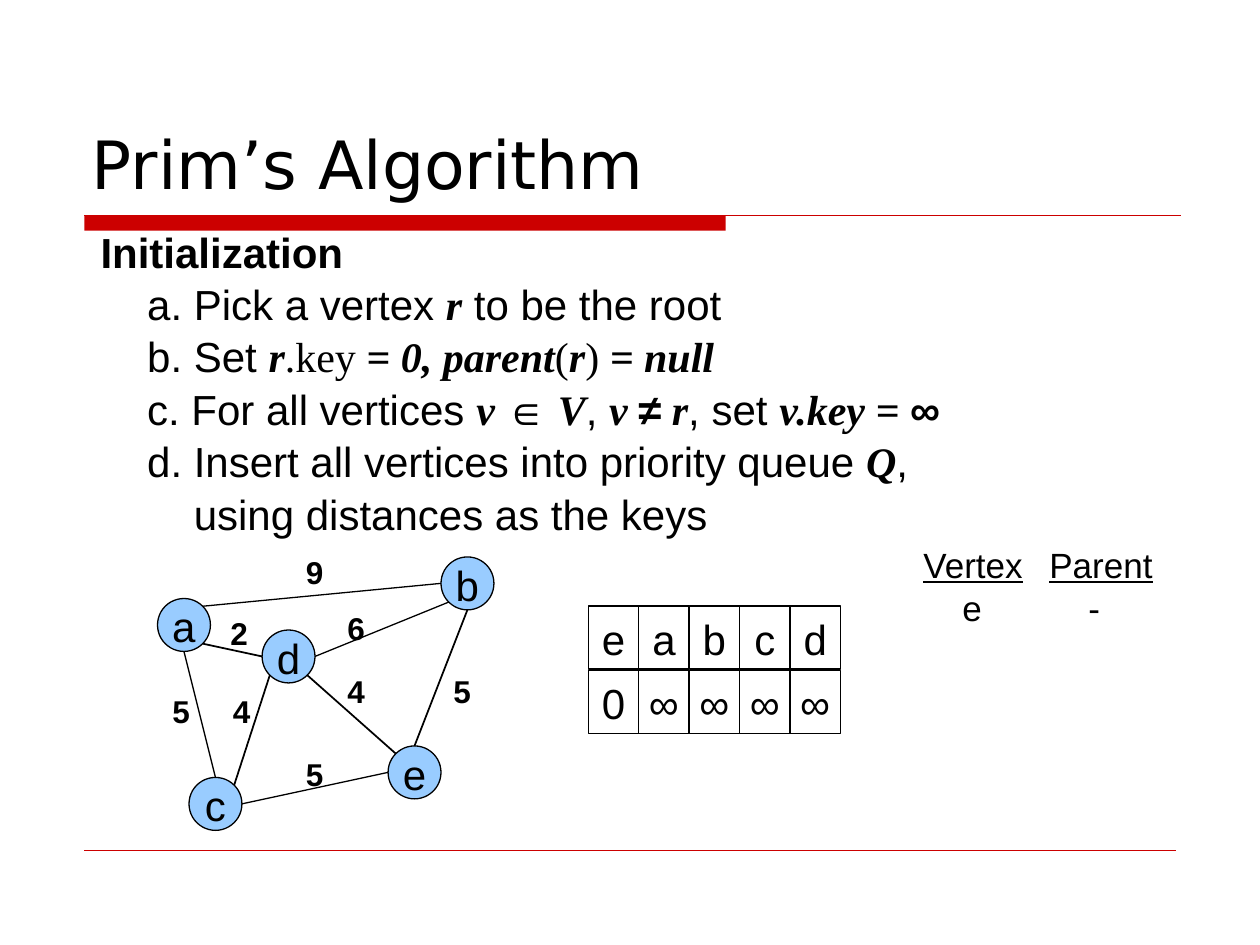
from math import cos, radians, sin

from lxml import etree
from pptx import Presentation
from pptx.dml.color import RGBColor
from pptx.enum.shapes import MSO_CONNECTOR, MSO_SHAPE
from pptx.enum.text import MSO_ANCHOR, PP_ALIGN
from pptx.oxml.ns import qn
from pptx.util import Inches, Pt

LINE = MSO_CONNECTOR.STRAIGHT
OVAL, RECT = MSO_SHAPE.OVAL, MSO_SHAPE.RECTANGLE
MIDDLE, BOTTOM = MSO_ANCHOR.MIDDLE, MSO_ANCHOR.BOTTOM
CENTER = PP_ALIGN.CENTER

BLACK = RGBColor(0x00, 0x00, 0x00)
RED = RGBColor(0xCC, 0x00, 0x00)
BLUE = RGBColor(0x99, 0xCC, 0xFF)

ARIAL, TIMES = "Arial", "Times New Roman"
# Each style: font, bold, italic
PLAIN = (ARIAL, False, False)
BOLD = (ARIAL, True, False)
VAR = (TIMES, True, True)
SERIF = (TIMES, False, False)

# Each step: left indent, then its runs
STEPS = [
    (0, [("Initialization", BOLD)]),
    (0.37, [("a. Pick a vertex ", PLAIN), ("r", VAR),
            (" to be the root", PLAIN)]),
    (0.37, [("b. Set ", PLAIN), ("r", VAR), (".key", SERIF),
            (" = 0, parent", VAR), ("(", SERIF), ("r", VAR),
            (")", SERIF), (" = null", VAR)]),
    (0.37, [("c. For all vertices ", PLAIN), ("v ", VAR), ("∈", BOLD),
            (" V", VAR), (", ", PLAIN), ("v ", VAR), ("≠", BOLD),
            (" r", VAR), (", set ", PLAIN), ("v.key = ", VAR),
            ("∞", BOLD)]),
    (0.37, [("d. Insert all vertices into priority queue ", PLAIN),
            ("Q", VAR), (",", PLAIN)]),
    (0.74, [("using distances as the keys", PLAIN)]),
]

SIZE = 0.42
NODES = {"a": (1.25, 4.75), "c": (1.5, 6.17), "e": (3.08, 5.92),
         "d": (2.08, 5), "b": (3.5, 4.42)}
# Each edge: node and angle at both ends (clockwise from right),
# line width, weight, left and top of the weight
EDGES = [
    ("a", 315, "b", 180, 0.75, 9, 2.33, 4.33),
    ("d", 0, "b", 135, 0.75, 6, 2.66, 4.77),
    ("a", 90, "c", 270, 0.75, 5, 1.27, 5.43),
    ("a", 45, "d", 180, 1, 2, 1.73, 4.81),
    ("c", 315, "d", 135, 1, 4, 1.75, 5.43),
    ("d", 45, "e", 225, 1, 4, 2.66, 5.27),
    ("b", 90, "e", 270, 1, 5, 3.5, 5.27),
    ("e", 180, "c", 0, 0.75, 5, 2.33, 5.93),
]

QUEUE = ["eabcd", "0∞∞∞∞"]
# Each row: text, underline, tab stops
PARENTS = [("Vertex\tParent", True, [1]), ("\te\t-", False, [0.31, 1.31])]


def style(par, size, font=ARIAL, bold=False, italic=False):
    par.line_spacing = 1.04
    for run in par.runs:
        run.font.name, run.font.size = font, Pt(size)
        run.font.bold, run.font.italic = bold, italic
        run.font.color.rgb = BLACK


def add_text(shapes, box, wrap=True):
    frame = shapes.add_textbox(*map(Inches, box)).text_frame
    frame.word_wrap = wrap
    return frame


def add_line(shapes, start, end, color, width):
    line = shapes.add_connector(LINE, *map(Inches, (*start, *end)))
    line.line.color.rgb, line.line.width = color, Pt(width)
    etree.SubElement(line._element.spPr, qn("a:effectLst"))


def add_cell(shapes, kind, box, text, fill=None):
    """Add an outlined shape that holds one centred character."""
    cell = shapes.add_shape(kind, *map(Inches, box))
    cell.shadow.inherit = False
    if fill is None:
        cell.fill.background()
    else:
        cell.fill.solid()
        cell.fill.fore_color.rgb = fill
    cell.line.color.rgb, cell.line.width = BLACK, Pt(0.75)
    frame = cell.text_frame
    frame.word_wrap, frame.vertical_anchor = False, MIDDLE
    frame.text = text
    par = frame.paragraphs[0]
    par.alignment = CENTER
    style(par, 24)


def rim(node, angle):
    """Return the point on a node's edge at an angle."""
    left, top = NODES[node]
    half, turn = SIZE / 2, radians(angle)
    return left + half + half * cos(turn), top + half + half * sin(turn)


def set_tabs(par, stops):
    tabs = etree.SubElement(par._p.get_or_add_pPr(), qn("a:tabLst"))
    for stop in stops:
        etree.SubElement(tabs, qn("a:tab"), pos=str(Inches(stop)), algn="l")


def add_frame(shapes):
    bar = shapes.add_shape(RECT, *map(Inches, (0.67, 1.71, 5.09, 0.12)))
    bar.shadow.inherit = False
    bar.fill.solid()
    bar.fill.fore_color.rgb = RED
    bar.line.fill.background()
    add_line(shapes, (0.67, 1.71), (9.37, 1.71), RED, 0.75)
    add_line(shapes, (0.67, 6.75), (9.33, 6.75), RED, 0.25)
    title = add_text(shapes, (0.63, 0.33, 8.75, 1.33))
    title.vertical_anchor = BOTTOM
    title.text = "Prim’s Algorithm"
    style(title.paragraphs[0], 38, "DejaVu Sans")


def add_steps(shapes):
    frame = add_text(shapes, (0.7, 1.73, 7.17, 2.5))
    for i, (indent, runs) in enumerate(STEPS):
        par = frame.add_paragraph() if i else frame.paragraphs[0]
        par.line_spacing = 1.04
        par._p.get_or_add_pPr().set("marL", str(Inches(indent)))
        for text, (font, bold, italic) in runs:
            run = par.add_run()
            run.text = text
            run.font.name, run.font.size = font, Pt(24)
            run.font.bold, run.font.italic = bold, italic
            run.font.color.rgb = BLACK


def add_graph(shapes):
    for name, spot in NODES.items():
        add_cell(shapes, OVAL, (*spot, SIZE, SIZE), name, BLUE)
    for src, out, dst, into, width, weight, left, top in EDGES:
        add_line(shapes, rim(src, out), rim(dst, into), BLACK, width)
        frame = add_text(shapes, (left, top, 0.34, 0.4), False)
        frame.text = str(weight)
        style(frame.paragraphs[0], 18, bold=True)


def add_queue(shapes):
    for r, row in enumerate(QUEUE):
        for c, text in enumerate(row):
            box = (4.67 + 0.4 * c, 4.81 + 0.51 * r, 0.4, 0.5)
            add_cell(shapes, RECT, box, text)


def add_parents(shapes):
    frame = add_text(shapes, (7.23, 4.25, 2.02, 0.77), False)
    frame.text = "\n".join(row[0] for row in PARENTS)
    for par, (_, under, stops) in zip(frame.paragraphs, PARENTS):
        style(par, 20)
        set_tabs(par, stops)
        for run in par.runs:
            run.font.underline = under


def main():
    deck = Presentation()
    deck.slide_width, deck.slide_height = Inches(10), Inches(7.5)
    shapes = deck.slides.add_slide(deck.slide_layouts[6]).shapes
    add_frame(shapes)
    add_steps(shapes)
    add_graph(shapes.add_group_shape().shapes)
    add_queue(shapes.add_group_shape().shapes)
    add_parents(shapes)
    deck.save("out.pptx")


if __name__ == "__main__":
    main()
